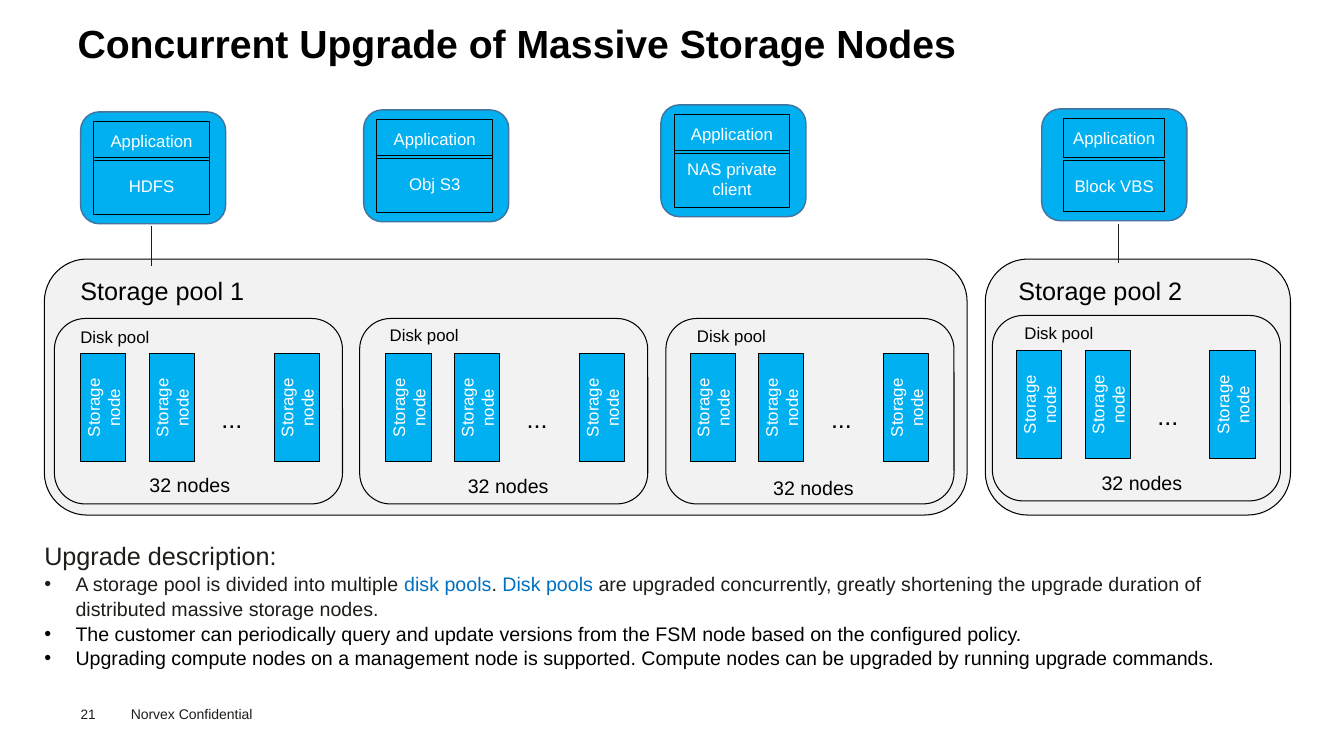
from dataclasses import dataclass

from lxml.etree import SubElement
from pptx import Presentation
from pptx.dml.color import RGBColor
from pptx.enum.shapes import MSO_CONNECTOR, MSO_SHAPE
from pptx.enum.text import MSO_ANCHOR, MSO_AUTO_SIZE, PP_ALIGN
from pptx.oxml.ns import qn
from pptx.util import Inches, Pt


@dataclass(frozen=True)
class Theme:
    font: str = "Arial"
    black: str = "000000"
    white: str = "FFFFFF"
    ink: str = "1D1D1A"
    blue: str = "00B0F0"
    rim: str = "43739E"
    gray: str = "F2F2F2"
    mark: str = "0070C0"
    title: float = 28
    head: float = 18
    body: float = 14
    small: float = 12
    foot: float = 10
    num: float = 9.7


class Deck:
    def __init__(self, theme):
        self.theme = theme
        self.prs = Presentation()
        self.prs.slide_width = Inches(13.34)
        self.prs.slide_height = Inches(7.5)
        self.slide = self.prs.slides.add_slide(self.prs.slide_layouts[5])

    def style(self, font, size, color, bold=False):
        font.name = self.theme.font
        font.size = Pt(size)
        font.bold = bold
        font.color.rgb = RGBColor.from_string(color)

    def inset(self, frame, left=0, top=0, right=0, bottom=0):
        frame.margin_left, frame.margin_top = Inches(left), Inches(top)
        frame.margin_right, frame.margin_bottom = Inches(right), Inches(bottom)

    def title(self, text, x, y, w, h):
        shape = self.slide.shapes.title
        shape.left, shape.top = Inches(x), Inches(y)
        shape.width, shape.height = Inches(w), Inches(h)
        frame = shape.text_frame
        frame.text = text
        frame.auto_size = MSO_AUTO_SIZE.NONE
        frame.vertical_anchor = MSO_ANCHOR.TOP
        self.inset(frame, 0, 0.05, 0.1, 0.05)
        para = frame.paragraphs[0]
        para.alignment = PP_ALIGN.LEFT
        self.style(para.runs[0].font, self.theme.title, self.theme.black, True)

    def box(self, x, y, w, h, fill=None, line=None, width=0.75, kind=MSO_SHAPE.RECTANGLE):
        shape = self.slide.shapes.add_shape(kind, Inches(x), Inches(y), Inches(w), Inches(h))
        shape.shadow.inherit = False
        if fill:
            shape.fill.solid()
            shape.fill.fore_color.rgb = RGBColor.from_string(fill)
        else:
            shape.fill.background()
        shape.line.color.rgb = RGBColor.from_string(line or self.theme.black)
        shape.line.width = Pt(width)
        return shape

    def round(self, *place, **look):
        return self.box(*place, kind=MSO_SHAPE.ROUNDED_RECTANGLE, **look)

    def cell(self, text, *place, fill=None, turn=False, wrap=True):
        """Rectangle with centred white text, turned upward on request."""
        shape = self.box(*place, fill=fill)
        frame = shape.text_frame
        frame.text = text
        frame.word_wrap = wrap
        frame.vertical_anchor = MSO_ANCHOR.MIDDLE
        if turn:
            shape.element.txBody.bodyPr.set("vert", "vert270")
        para = frame.paragraphs[0]
        para.alignment = PP_ALIGN.CENTER
        self.style(para.runs[0].font, self.theme.small, self.theme.white)

    def text(self, text, x, y, w, h, size, color=None, align=PP_ALIGN.LEFT):
        shape = self.slide.shapes.add_textbox(Inches(x), Inches(y), Inches(w), Inches(h))
        frame = shape.text_frame
        frame.word_wrap = True
        frame.text = text
        para = frame.paragraphs[0]
        para.alignment = align
        self.style(para.runs[0].font, size, color or self.theme.black)
        return frame

    def bullet(self, frame, parts):
        para = frame.add_paragraph()
        props = para._p.get_or_add_pPr()
        props.set("marL", str(Inches(0.31)))
        props.set("indent", str(-Inches(0.31)))
        SubElement(props, qn("a:buFont"), typeface=self.theme.font)
        SubElement(props, qn("a:buChar"), char="•")
        para.line_spacing = 1.05
        for text, color in parts:
            run = para.add_run()
            run.text = text
            self.style(run.font, self.theme.body, color)

    def line(self, x, top, end):
        wire = self.slide.shapes.add_connector(
            MSO_CONNECTOR.STRAIGHT, Inches(x), Inches(top), Inches(x), Inches(end))
        wire.line.color.rgb = RGBColor.from_string(self.theme.ink)
        wire.line.width = Pt(0.5)
        SubElement(wire.element.spPr, qn("a:effectLst"))

    def disk(self, x, y, node, label, count):
        """Disk pool; node is the first node's left, label and count are places."""
        look = self.theme
        self.round(x, y, 2.86, 1.84)
        self.text("Disk pool", *label, 2.04, 0.3, look.small)
        for step in (0, 0.68, 1.92):
            self.cell("Storage node", node + step, y + 0.35, 0.45, 1.07,
                      fill=look.blue, turn=True)
        self.text("...", node + 1.3, y + 0.79, 0.55, 0.35, look.head)
        self.text("32 nodes", *count, 1.87, 0.34, look.body, align=PP_ALIGN.CENTER)

    def app(self, name, x, y, side=0.13, wide=1.15, drop=0.45, tall=0.57, wrap=True):
        self.round(x, y, 1.44, 1.11, fill=self.theme.blue, line=self.theme.rim, width=1)
        self.cell(name, x + side, y + drop, wide, tall)
        self.cell("Application", x + side, y + 0.1, wide, 0.38, wrap=wrap)


def main():
    look = Theme()
    deck = Deck(look)
    deck.title("Concurrent Upgrade of Massive Storage Nodes", 0.77, 0.14, 12.29, 0.53)

    pools = [("Storage pool 1", 0.44, 9.16, 0.7), ("Storage pool 2", 9.78, 3.03, 10.01)]
    for name, x, wide, left in pools:
        deck.round(x, 2.57, wide, 2.54, fill=look.gray)
        deck.text(name, left, 2.68, 2.02, 0.4, look.head)

    disks = [
        (0.54, 3.16, 0.8, (0.7, 3.19), (0.95, 4.64)),
        (3.57, 3.16, 3.83, (3.77, 3.17), (4.11, 4.65)),
        (6.61, 3.16, 6.85, (6.82, 3.18), (7.14, 4.67)),
        (9.85, 3.13, 10.09, (10.07, 3.15), (10.4, 4.62)),
    ]
    for disk in disks:
        deck.disk(*disk)

    deck.app("HDFS", 0.8, 1.11)
    deck.app("Obj S3", 3.61, 1.09)
    deck.app("NAS private client", 6.56, 1.04)
    deck.app("Block VBS", 10.34, 1.08, side=0.22, wide=1, drop=0.51, tall=0.51, wrap=False)
    deck.line(1.5, 2.24, 2.64)
    deck.line(11.1, 2.22, 2.61)

    notes = deck.text("Upgrade description:", 0.44, 5.35, 12.4, 1.87, look.head, look.ink)
    deck.inset(notes)
    notes.paragraphs[0].line_spacing = 1.05
    points = [
        [("A storage pool is divided into multiple ", look.ink),
         ("disk pools", look.mark),
         (". ", look.ink),
         ("Disk pools ", look.mark),
         ("are upgraded concurrently, greatly shortening the upgrade duration of "
          "distributed massive storage nodes.", look.ink)],
        [("The customer can periodically query and update versions from the FSM node "
          "based on the configured policy.", look.black)],
        [("Upgrading compute nodes on a management node is supported. Compute nodes "
          "can be upgraded by running upgrade commands.", look.black)],
    ]
    for parts in points:
        deck.bullet(notes, parts)

    page = deck.text("21", 0.8, 7, 0.55, 0.16, look.num, look.ink)
    deck.inset(page)
    deck.text("Norvex Confidential", 1.2, 6.95, 1.6, 0.27, look.foot, look.ink)
    deck.prs.save("out.pptx")


if __name__ == "__main__":
    main()
